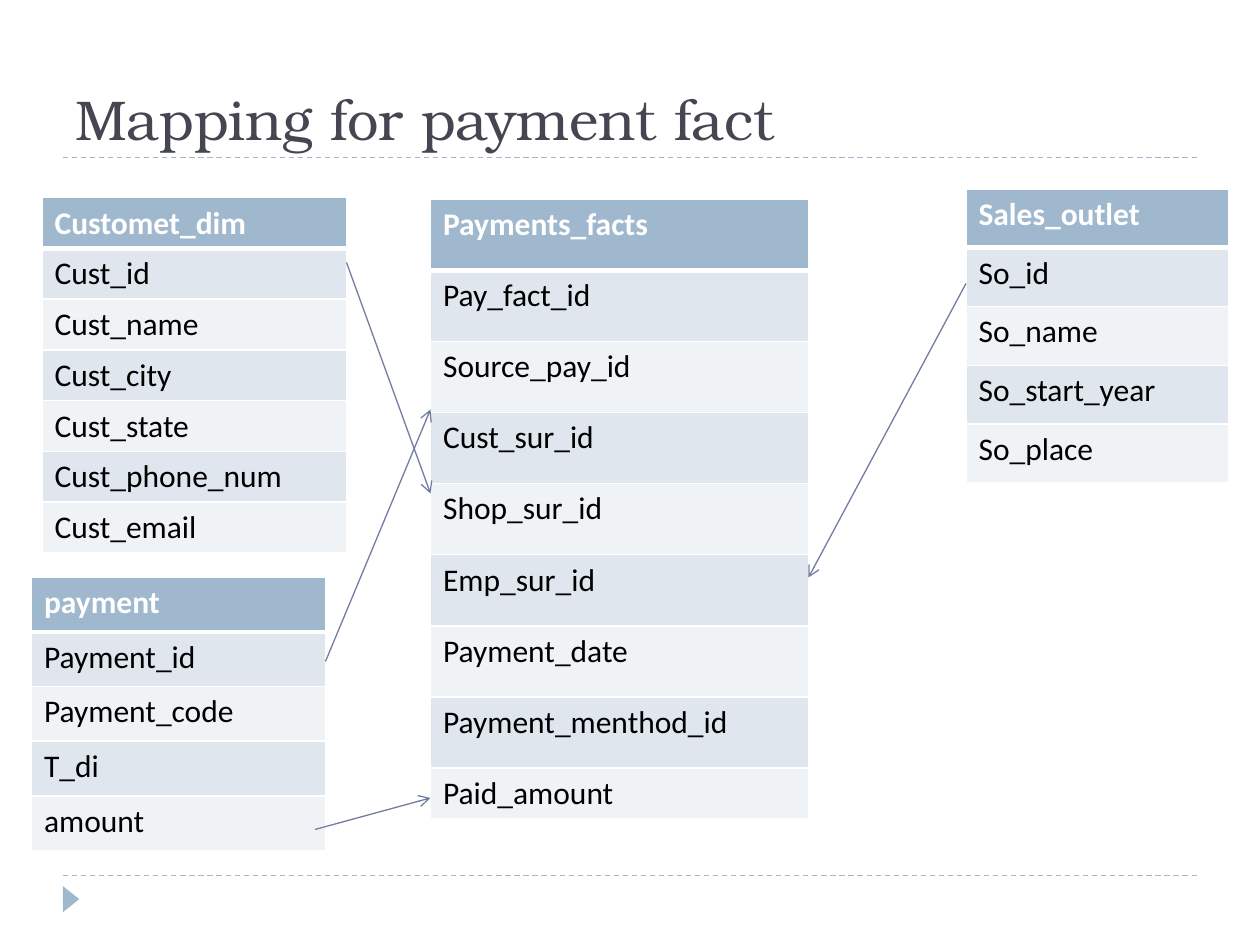
from lxml import etree
from pptx import Presentation
from pptx.dml.color import RGBColor
from pptx.enum import dml, shapes, text
from pptx.oxml import ns
from pptx.util import Pt

HUES = {"title": "464653", "head": "9FB8CD", "odd": "DFE6ED", "even": "F0F3F6",
        "white": "FFFFFF", "black": "000000", "arrow": "727CA3"}
TABLES = [
    ((246, 113.75, 216, 354), 28.8,
     ["Payments_facts", "Pay_fact_id", "Source_pay_id", "Cust_sur_id", "Shop_sur_id",
      "Emp_sur_id", "Payment_date", "Payment_menthod_id", "Paid_amount"]),
    ((24, 113, 174, 203), 29,
     ["Customet_dim", "Cust_id", "Cust_name", "Cust_city", "Cust_state",
      "Cust_phone_num", "Cust_email"]),
    ((18, 330, 168, 156), 31.2,
     ["payment", "Payment_id", "Payment_code", "T_di", "amount"]),
    ((552, 108, 150, 168), 33.6,
     ["Sales_outlet", "So_id", "So_name", "So_start_year", "So_place"]),
]
ARROWS = [(198, 150, 246, 282), (186, 378, 246, 234),
          (180, 474, 246, 456), (552, 162, 462, 330)]


def hue(name):
    """Return the named colour."""
    return RGBColor.from_string(HUES[name])


def style(para, size, font, name, bold=False):
    """Set the font of a paragraph."""
    para.font.size, para.font.name, para.font.bold = Pt(size), font, bold
    para.font.color.rgb = hue(name)


def edge(cell, head):
    """Give a cell white borders, with a thick one below a header."""
    props = cell._tc.get_or_add_tcPr()
    for i, side in enumerate(("lnL", "lnR", "lnT", "lnB")):
        wide = 3 if head and side == "lnB" else 1
        line = etree.Element(ns.qn(f"a:{side}"), w=str(Pt(wide)))
        fill = etree.SubElement(line, ns.qn("a:solidFill"))
        etree.SubElement(fill, ns.qn("a:srgbClr"), val=HUES["white"])
        props.insert(i, line)


def add_list(slide, box, last, names):
    """Draw a one-column table in the box, its last row of the given height."""
    x, y, w, h = box
    grid = slide.shapes.add_table(len(names), 1, Pt(x), Pt(y), Pt(w), Pt(h)).table
    step = (h - last) / (len(names) - 1)
    for i, name in enumerate(names):
        head = i == 0
        grid.rows[i].height = Pt(last if i == len(names) - 1 else step)
        cell = grid.cell(i, 0)
        cell.text = name
        style(cell.text_frame.paragraphs[0], 18, "Calibri",
              "white" if head else "black", head)
        cell.fill.solid()
        cell.fill.fore_color.rgb = hue("head" if head else "odd" if i % 2 else "even")
        edge(cell, head and len(names) > 1)


def add_line(slide, ends, name):
    """Draw a thin line between two points."""
    line = slide.shapes.add_connector(shapes.MSO_CONNECTOR.STRAIGHT, *map(Pt, ends))
    line.line.color.rgb = hue(name)
    line.line.width = Pt(0.75)
    etree.SubElement(line._element.spPr, ns.qn("a:effectLst"))
    return line.line


def add_arrow(slide, ends):
    """Draw a mapping arrow between two tables."""
    line = add_line(slide, ends, "arrow")
    etree.SubElement(line._get_or_add_ln(), ns.qn("a:tailEnd"), type="arrow")


def add_frame(slide, box):
    """Draw the dashed rules and the corner mark in the box."""
    x, y, w, h = box
    for level in (y, y + h):
        line = add_line(slide, (x, level, x + w, level), "head")
        line.dash_style = dml.MSO_LINE.DASH
    mark = slide.shapes.add_shape(shapes.MSO_SHAPE.ISOSCELES_TRIANGLE,
                                  Pt(x - 2.9), Pt(y + h + 8.7), Pt(15), Pt(9.4))
    mark.rotation = 90
    mark.shadow.inherit = False
    mark.fill.solid()
    mark.fill.fore_color.rgb = hue("head")
    mark.line.fill.background()


def add_title(slide, box, words):
    """Write the title at the bottom of the box."""
    frame = slide.shapes.add_textbox(*map(Pt, box)).text_frame
    frame.word_wrap = True
    frame.vertical_anchor = text.MSO_ANCHOR.BOTTOM
    frame.text = words
    style(frame.paragraphs[0], 32, "TeX Gyre Bonum", "title")


def main():
    """Build the slide and save it."""
    deck = Presentation()
    deck.slide_width, deck.slide_height = Pt(720), Pt(540)
    slide = deck.slides.add_slide(deck.slide_layouts[6])
    add_frame(slide, (36, 90, 648, 410.4))
    add_title(slide, (36, 12, 648, 78), "Mapping for payment fact")
    for box, last, names in TABLES:
        add_list(slide, box, last, names)
    for ends in ARROWS:
        add_arrow(slide, ends)
    deck.save("out.pptx")


if __name__ == "__main__":
    main()
